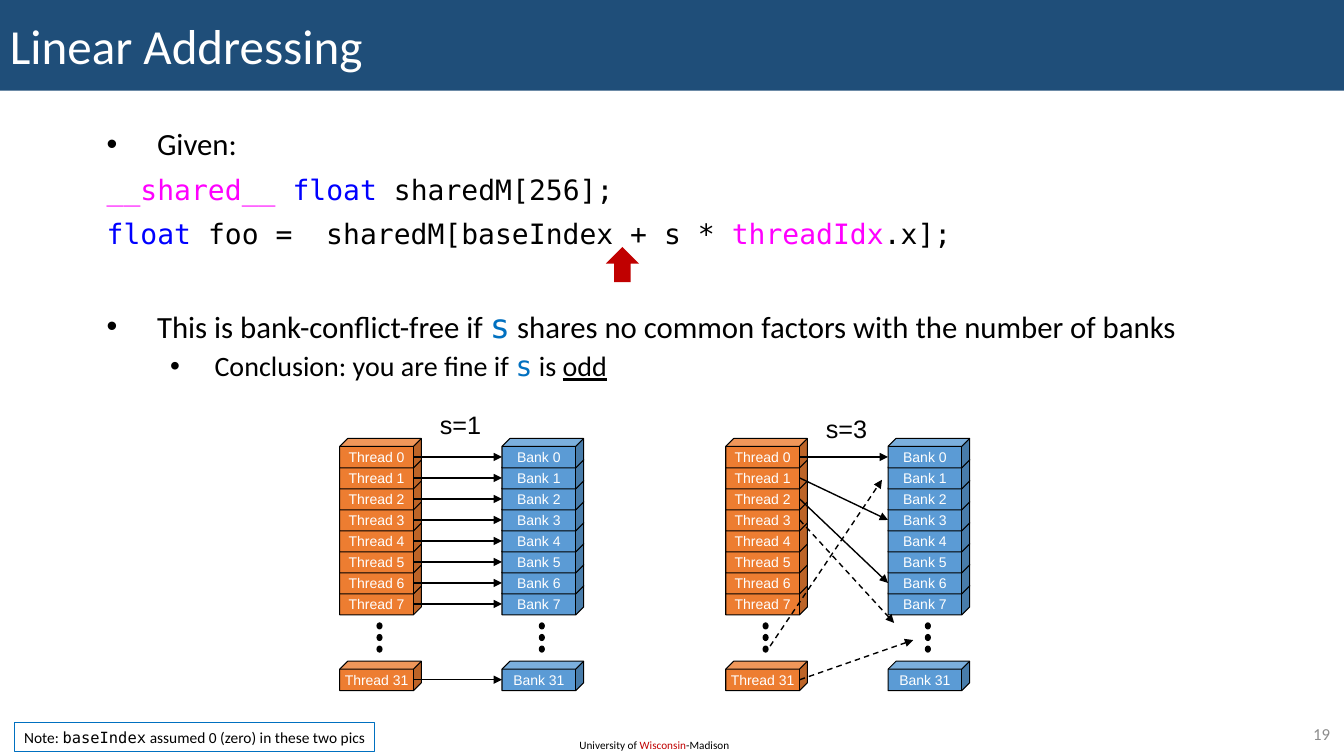
from pptx import Presentation
from pptx.dml.color import RGBColor
from pptx.enum.dml import MSO_LINE
from pptx.enum.shapes import MSO_CONNECTOR, MSO_SHAPE
from pptx.enum.text import MSO_ANCHOR, MSO_AUTO_SIZE, PP_ALIGN
from pptx.oxml.ns import qn
from pptx.util import Inches, Pt
from lxml import etree

RECT, CUBE, OVAL = MSO_SHAPE.RECTANGLE, MSO_SHAPE.CUBE, MSO_SHAPE.OVAL
ARROW, LINE, DASH = MSO_SHAPE.UP_ARROW, MSO_CONNECTOR.STRAIGHT, MSO_LINE.DASH
TOP, MID = MSO_ANCHOR.TOP, MSO_ANCHOR.MIDDLE
LEFT, CENTER, RIGHT = PP_ALIGN.LEFT, PP_ALIGN.CENTER, PP_ALIGN.RIGHT
GROW = MSO_AUTO_SIZE.SHAPE_TO_FIT_TEXT

COLS, ROWS = 160, 90
HUES = {
    "navy": "1F4E79", "white": "FFFFFF", "black": "000000", "red": "C00000",
    "pink": "FF00FF", "blue": "0000FF", "sky": "0070C0", "gray": "8C8C8C",
    "thread": "ED7D31", "bank": "5B9BD5",
}
SANS, MONO, ARIAL = "Calibri", "DejaVu Sans Mono", "Arial"


class Deck:
    """Holds the style, the grid and the current slide."""

    def __init__(self):
        self.file = Presentation()
        self.file.slide_width = Inches(13.33)
        self.file.slide_height = Inches(7.5)
        self.cell = self.file.slide_width / COLS, self.file.slide_height / ROWS
        self.shapes = self.file.slides.add_slide(self.file.slide_layouts[6]).shapes

    def grid(self, *units):
        """Turn alternating columns and rows into lengths."""
        return [round(n * self.cell[i % 2]) for i, n in enumerate(units)]

    def hue(self, name):
        return RGBColor.from_string(HUES[name])

    def put(self, para, runs, align=LEFT):
        """Each run is (text, size, font, hue)."""
        para.alignment = align
        for text, size, font, hue in runs:
            run = para.add_run()
            run.text = text
            run.font.size, run.font.name = Pt(size), font
            run.font.color.rgb = self.hue(hue)

    def bullet(self, para, left, hang):
        props = para._p.get_or_add_pPr()
        props.set("marL", str(Inches(left)))
        props.set("indent", str(-Inches(hang)))
        etree.SubElement(props, qn("a:buFont"), typeface=ARIAL)
        etree.SubElement(props, qn("a:buChar"), char="•")

    def text(self, box, runs=(), align=LEFT, anchor=TOP, wrap=True, grow=False):
        item = self.shapes.add_textbox(*self.grid(*box))
        self.label(item, runs, align, anchor, wrap, grow)
        return item.text_frame

    def label(self, item, runs, align, anchor, wrap, grow=False):
        frame = item.text_frame
        frame.word_wrap, frame.vertical_anchor = wrap, anchor
        if grow:
            frame.auto_size = GROW
        self.put(frame.paragraphs[0], runs, align)

    def shape(self, kind, box, fill=None, edge=None, runs=(), align=LEFT, wrap=True):
        item = self.shapes.add_shape(kind, *self.grid(*box))
        item.shadow.inherit = False
        if fill:
            item.fill.solid()
            item.fill.fore_color.rgb = self.hue(fill)
        else:
            item.fill.background()
        if edge:
            item.line.color.rgb = self.hue(edge)
            item.line.width = Pt(0.75)
        else:
            item.line.fill.background()
        if runs:
            self.label(item, runs, align, MID, wrap)
        return item

    def cube(self, x, y, name, fill):
        item = self.shape(CUBE, (x, y, 9.72, 3.5), fill, "black",
                          [(name, 10, ARIAL, "white")], CENTER, False)
        item.adjustments[0] = 0.27
        frame = item.text_frame
        frame.margin_left = frame.margin_right = 0
        frame.margin_top = frame.margin_bottom = 0

    def arrow(self, x1, y1, x2, y2, dash=False):
        item = self.shapes.add_connector(LINE, *self.grid(x1, y1, x2, y2))
        item.line.color.rgb = self.hue("black")
        item.line.width = Pt(1)
        if dash:
            item.line.dash_style = DASH
        props = item._element.spPr
        etree.SubElement(props.find(qn("a:ln")), qn("a:tailEnd"), type="triangle")
        etree.SubElement(props, qn("a:effectLst"))


# Stack geometry, in columns and rows
FIRST, STEP, LAST = 52.2, 2.5, 78.72
GAP, EXIT = 19.32, 8.8
COUNT = 8


def mid(i):
    """Row of the middle of a cube's front face."""
    return (FIRST + STEP * i if i < COUNT else LAST) + 2.2


def stack(deck, x, name):
    fill = name.lower()
    deck.cube(x, LAST, f"{name} 31", fill)
    for i in reversed(range(COUNT)):
        deck.cube(x, FIRST + STEP * i, f"{name} {i}", fill)
    for i in range(3):
        deck.shape(OVAL, (x + 4.44, 74.16 + 1.38 * i, 0.6, 0.72), "black", "black")


def panel(deck, x, title, top, links, dashes=()):
    stack(deck, x + GAP, "Bank")
    stack(deck, x, "Thread")
    for start, end in links:
        deck.arrow(x + EXIT, mid(start), x + GAP, mid(end))
    for x1, y1, x2, y2 in dashes:
        deck.arrow(x + x1, y1, x + x2, y2, True)
    deck.text((x + 10.74, top, 7.32, 4.8), [(title, 18, ARIAL, "black")],
              wrap=False, grow=True)


def main():
    deck = Deck()

    # Footer and title bar
    deck.text((67.8, 87.36, 20.64, 2.88),
              [("University of ", 8, SANS, "black"), ("Wisconsin", 8, SANS, "red"),
               ("-Madison", 8, SANS, "black")], grow=True)
    deck.shape(RECT, (0, 0, COLS, 10.8), "navy",
               runs=[("Linear Addressing", 35, SANS, "white")])

    # Body: runs, space before, bullet (left, hang)
    lines = [
        ([("Given:", 22, SANS, "black")], 10, (0.5, 0.5)),
        ([("__shared__ ", 20, MONO, "pink"), ("float ", 20, MONO, "blue"),
          ("sharedM[256];", 20, MONO, "black")], 10, None),
        ([("float", 20, MONO, "blue"),
          (" foo =  sharedM[baseIndex + s * ", 20, MONO, "black"),
          ("threadIdx", 20, MONO, "pink"), (".x];", 20, MONO, "black")], 10, None),
        ([("This is bank-conflict-free if ", 22, SANS, "black"), ("s", 24, MONO, "sky"),
          (" shares no common factors with the number of banks", 22, SANS, "black")],
         42, (0.5, 0.5)),
        ([("Conclusion: you are fine if ", 20, SANS, "black"), ("s", 20, MONO, "sky"),
          (" is ", 20, SANS, "black"), ("odd", 20, SANS, "black")], 5, (1.07, 0.44)),
    ]
    body = deck.text((11.52, 14.76, 142.8, 36))
    for i, (runs, space, mark) in enumerate(lines):
        para = body.add_paragraph() if i else body.paragraphs[0]
        deck.put(para, runs)
        para.line_spacing, para.space_before = 0.9, Pt(space)
        if mark:
            deck.bullet(para, *mark)
    para.level = 1
    para.runs[-1].font.underline = True

    # Stride diagrams
    panel(deck, 86.4, "s=3", 48.6, [(i, 3 * i) for i in range(3)],
          [(EXIT, mid(3), 20.04, 74.16), (5.28, 76.92, 18.6, 57.12),
           (EXIT, mid(31), 22.32, 76.2)])
    panel(deck, 40.44, "s=1", 48.12, [(i, i) for i in (*range(COUNT), 31)])

    # Page number, pointer and note
    deck.text((150.4, 85.56, 9.12, 3.48), [("19", 12, SANS, "gray")], RIGHT, MID)
    deck.shape(ARROW, (72.12, 29.4, 3.96, 4.2), "red")
    deck.shape(RECT, (1.68, 86.04, 42.96, 3.48), None, "sky",
               [("Note: ", 11, SANS, "black"), ("baseIndex", 11, MONO, "black"),
                (" assumed 0 (zero) in these two pics", 11, SANS, "black")], wrap=False)

    deck.file.save("out.pptx")


if __name__ == "__main__":
    main()
